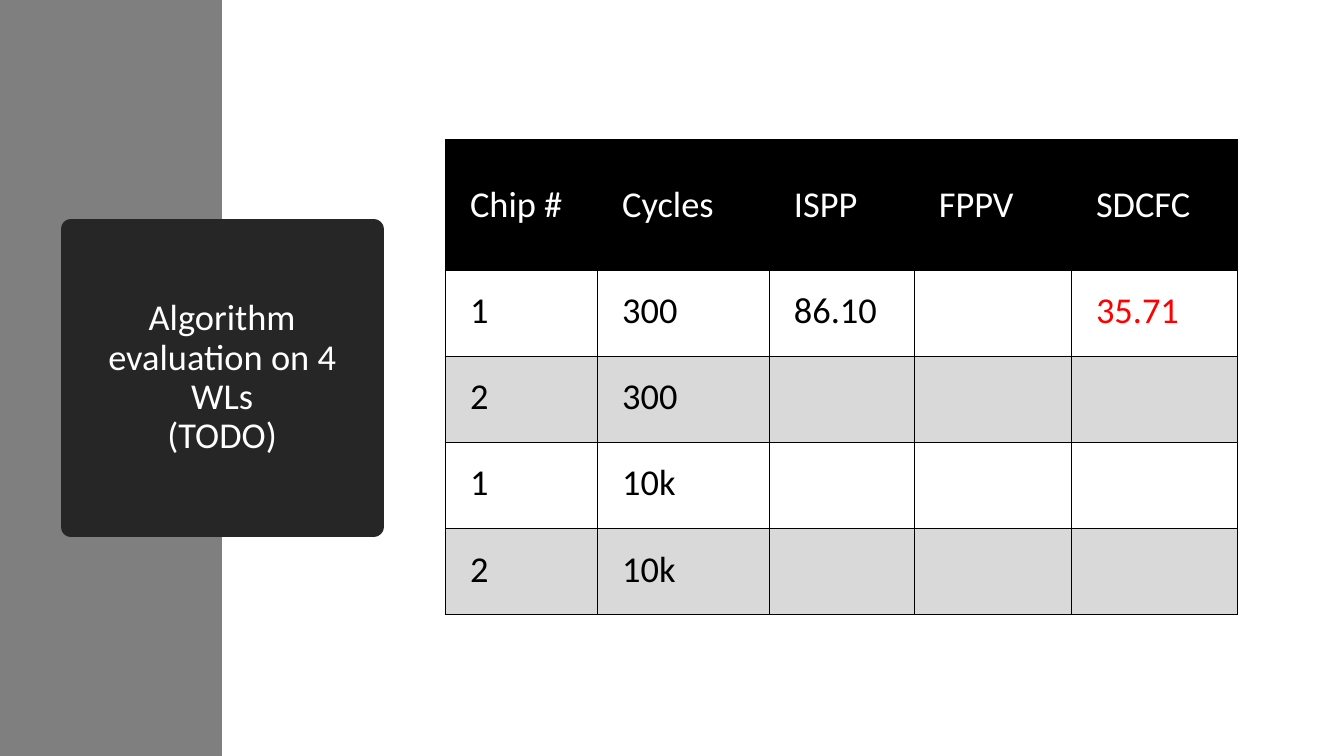
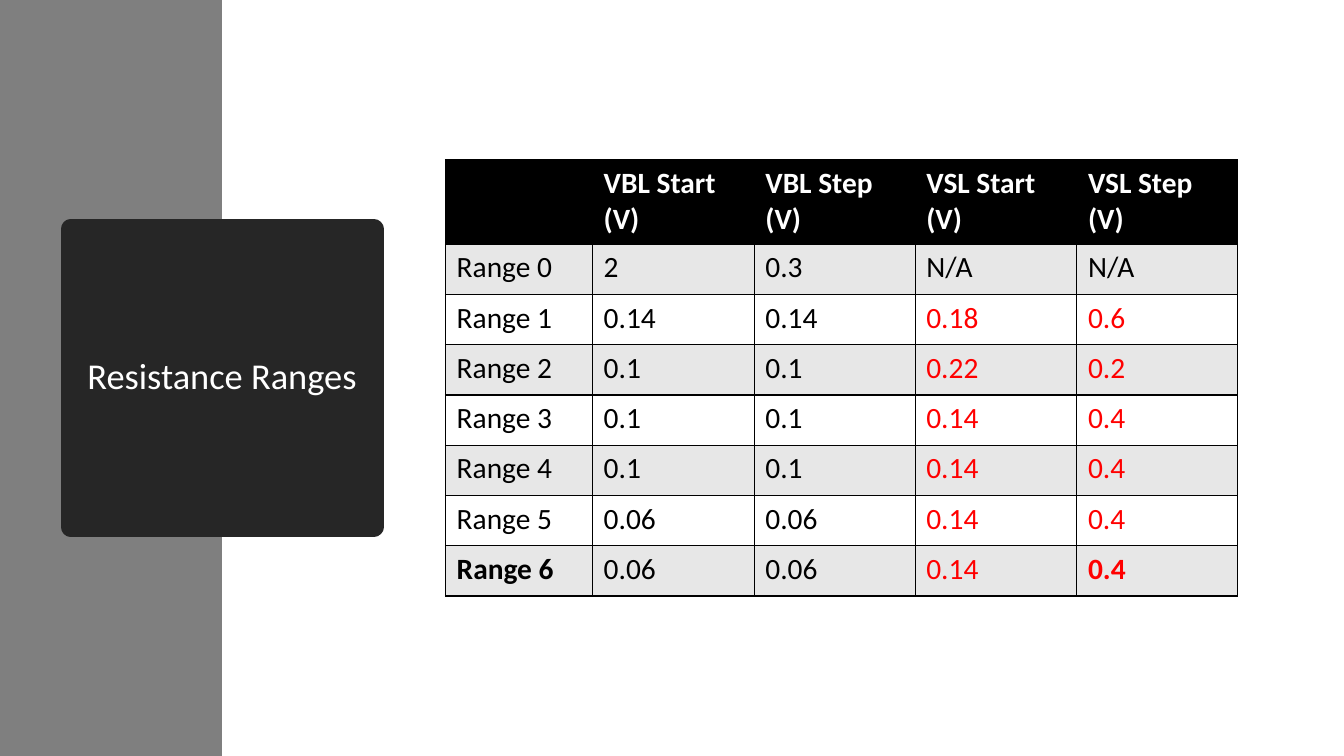
from dataclasses import dataclass
from itertools import product

from lxml.etree import SubElement
from pptx import Presentation
from pptx.dml.color import RGBColor
from pptx.enum.shapes import MSO_SHAPE as Preset
from pptx.enum.text import MSO_ANCHOR as Anchor, MSO_AUTO_SIZE as AutoSize, PP_ALIGN as Align
from pptx.oxml.ns import qn
from pptx.util import Pt

COLORS = {
    "band": "7F7F7F",
    "panel": "262626",
    "white": "FFFFFF",
    "black": "000000",
    "red": "FF0000",
    "stripe": "D9D9D9",
    "light_stripe": "E7E7E7",
}
FONT = "Calibri"
SLIDE_WIDTH, SLIDE_HEIGHT = 960, 540
TABLE_LEFT = 318.25
BORDER_WIDTH = 1


@dataclass(frozen=True)
class TableSlide:
    """A title panel and a table; positions are (row, column), lengths in points."""
    title: str
    top: float
    columns: tuple[float, ...]
    header_height: float
    row_height: float
    size: float
    margins: tuple[float, float, float, float]  # left, top, right, bottom
    header_bold: bool
    header_anchor: Anchor
    row_fills: tuple[str | None, str | None]  # alternate, from the first body row
    rows: tuple[tuple[str, ...], ...]
    red: frozenset[tuple[int, int]]
    bold: frozenset[tuple[int, int]] = frozenset()


ALGORITHM_EVALUATION = TableSlide(
    title="Algorithm evaluation on 4 WLs\v(TODO)",
    top=100,
    columns=(108.7, 122.7, 103.5, 112.3, 118.6),
    header_height=93,
    row_height=61.5,
    size=26,
    margins=(17.5, 13.5, 13, 13.5),
    header_bold=False,
    header_anchor=Anchor.MIDDLE,
    row_fills=(None, "stripe"),
    rows=(
        ("Chip #", "Cycles", "ISPP", "FPPV", "SDCFC"),
        ("1", "300", "86.10", "", "35.71"),
        ("2", "300", "", "", ""),
        ("1", "10k", "", "", ""),
        ("2", "10k", "", "", ""),
    ),
    red=frozenset({(1, 4)}),
)

RESISTANCE_RANGES = TableSlide(
    title="Resistance Ranges",
    top=114,
    columns=(105, 115.5, 115, 115.5, 115),
    header_height=60.5,
    row_height=35.9,
    size=21,
    margins=(8, 4, 8, 4),
    header_bold=True,
    header_anchor=Anchor.TOP,
    row_fills=("light_stripe", "white"),
    rows=(
        ("", "VBL Start (V)", "VBL Step (V)", "VSL Start (V)", "VSL Step (V)"),
        ("Range 0", "2", "0.3", "N/A", "N/A"),
        ("Range 1", "0.14", "0.14", "0.18", "0.6"),
        ("Range 2", "0.1", "0.1", "0.22", "0.2"),
        ("Range 3", "0.1", "0.1", "0.14", "0.4"),
        ("Range 4", "0.1", "0.1", "0.14", "0.4"),
        ("Range 5", "0.06", "0.06", "0.14", "0.4"),
        ("Range 6", "0.06", "0.06", "0.14", "0.4"),
    ),
    red=frozenset(product(range(2, 8), (3, 4))),
    bold=frozenset({(7, 0), (7, 4)}),
)


def rgb(name: str) -> RGBColor:
    return RGBColor.from_string(COLORS[name])


def style_font(paragraph, size: float, color: str, bold: bool = False) -> None:
    font = paragraph.font
    font.name, font.size, font.bold = FONT, Pt(size), bold
    font.color.rgb = rgb(color)


def add_title_panel(slide, text: str) -> None:
    """Dark title panel over the grey side band."""
    title = slide.shapes.title
    title.left, title.top = Pt(50.4), Pt(163.5)
    title.width, title.height = Pt(216.7), Pt(213)
    title.fill.solid()
    title.fill.fore_color.rgb = rgb("panel")
    # The wide line with round joins gives the panel its soft corners
    title.line.width = Pt(13.75)
    title.line.color.rgb = rgb("panel")
    SubElement(title.line._get_or_add_ln(), qn("a:round"))

    frame = title.text_frame
    frame.text = text
    frame.word_wrap = True
    frame.auto_size = AutoSize.NONE
    frame.vertical_anchor = Anchor.MIDDLE
    heading = frame.paragraphs[0]
    heading.alignment = Align.CENTER
    heading.line_spacing = 0.9
    style_font(heading, 26, "white")

    band = slide.shapes.add_shape(Preset.RECTANGLE, 0, 0, Pt(158.5), Pt(SLIDE_HEIGHT))
    band.shadow.inherit = False
    band.fill.solid()
    band.fill.fore_color.rgb = rgb("band")
    band.line.fill.background()
    title.element.addprevious(band.element)


def add_borders(cell) -> None:
    properties = cell._tc.get_or_add_tcPr()
    for position, side in enumerate(("a:lnL", "a:lnR", "a:lnT", "a:lnB")):
        line = SubElement(properties, qn(side), w=str(Pt(BORDER_WIDTH)))
        properties.insert(position, line)
        fill = SubElement(line, qn("a:solidFill"))
        SubElement(fill, qn("a:srgbClr"), val=COLORS["black"])


def add_table(slide, content: TableSlide) -> None:
    heights = [content.header_height] + [content.row_height] * (len(content.rows) - 1)
    table = slide.shapes.add_table(
        len(heights), len(content.columns), Pt(TABLE_LEFT), Pt(content.top),
        Pt(sum(content.columns)), Pt(sum(heights)),
    ).table
    for column, width in zip(table.columns, content.columns):
        column.width = Pt(width)
    for row, height in zip(table.rows, heights):
        row.height = Pt(height)

    for row, column in product(range(len(heights)), range(len(content.columns))):
        cell = table.cell(row, column)
        is_header = row == 0
        cell.text = content.rows[row][column]
        (cell.margin_left, cell.margin_top,
         cell.margin_right, cell.margin_bottom) = map(Pt, content.margins)
        cell.vertical_anchor = content.header_anchor if is_header else Anchor.TOP

        fill = "black" if is_header else content.row_fills[(row - 1) % 2]
        if fill is None:
            cell.fill.background()
        else:
            cell.fill.solid()
            cell.fill.fore_color.rgb = rgb(fill)

        if is_header:
            color, bold = "white", content.header_bold
        else:
            color = "red" if (row, column) in content.red else "black"
            bold = (row, column) in content.bold
        style_font(cell.text_frame.paragraphs[0], content.size, color, bold)
        add_borders(cell)


def main() -> None:
    deck = Presentation()
    deck.slide_width, deck.slide_height = Pt(SLIDE_WIDTH), Pt(SLIDE_HEIGHT)
    title_only = deck.slide_layouts.get_by_name("Title Only")
    for content in (ALGORITHM_EVALUATION, RESISTANCE_RANGES):
        slide = deck.slides.add_slide(title_only)
        add_title_panel(slide, content.title)
        add_table(slide, content)
    deck.save("out.pptx")


if __name__ == "__main__":
    main()
